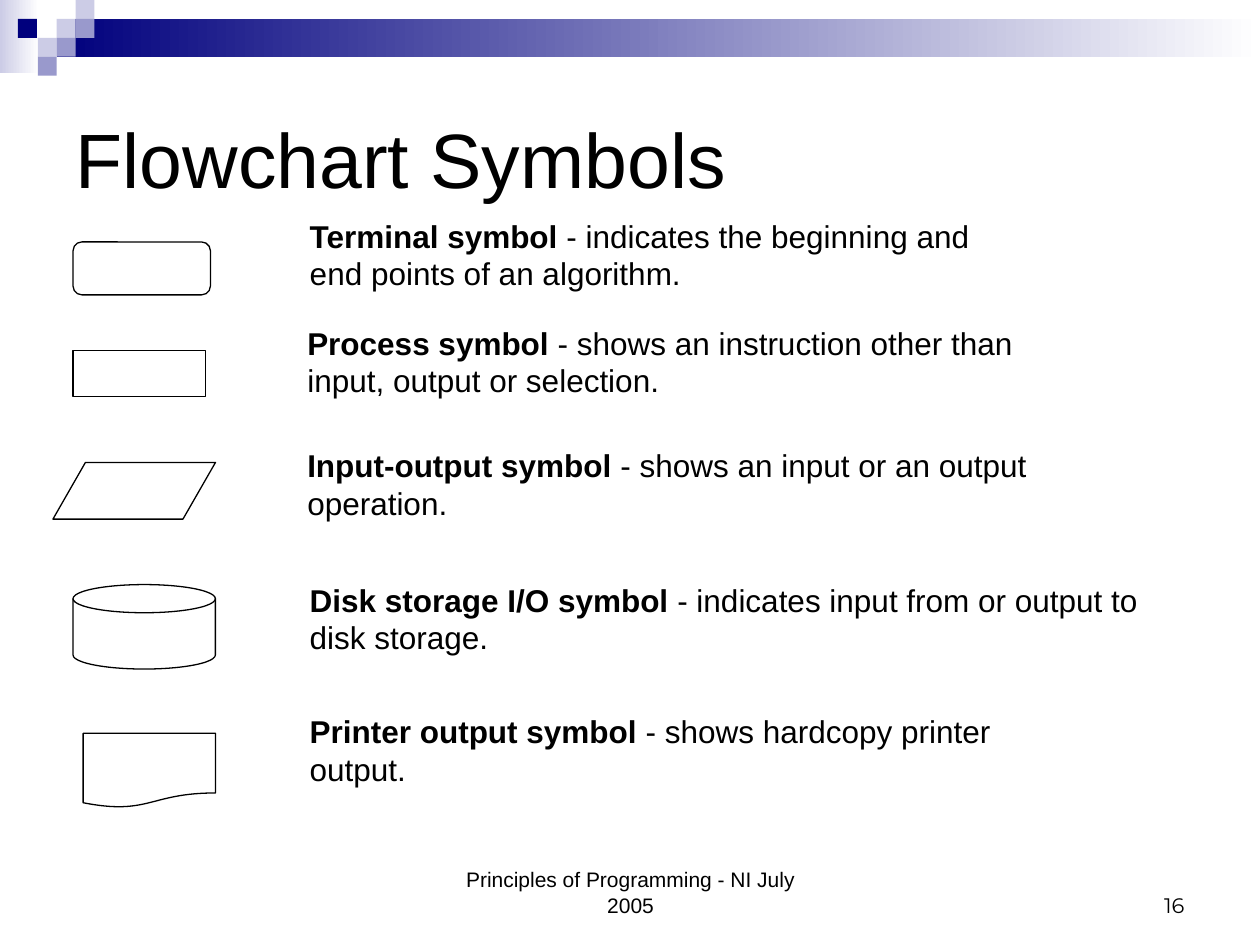
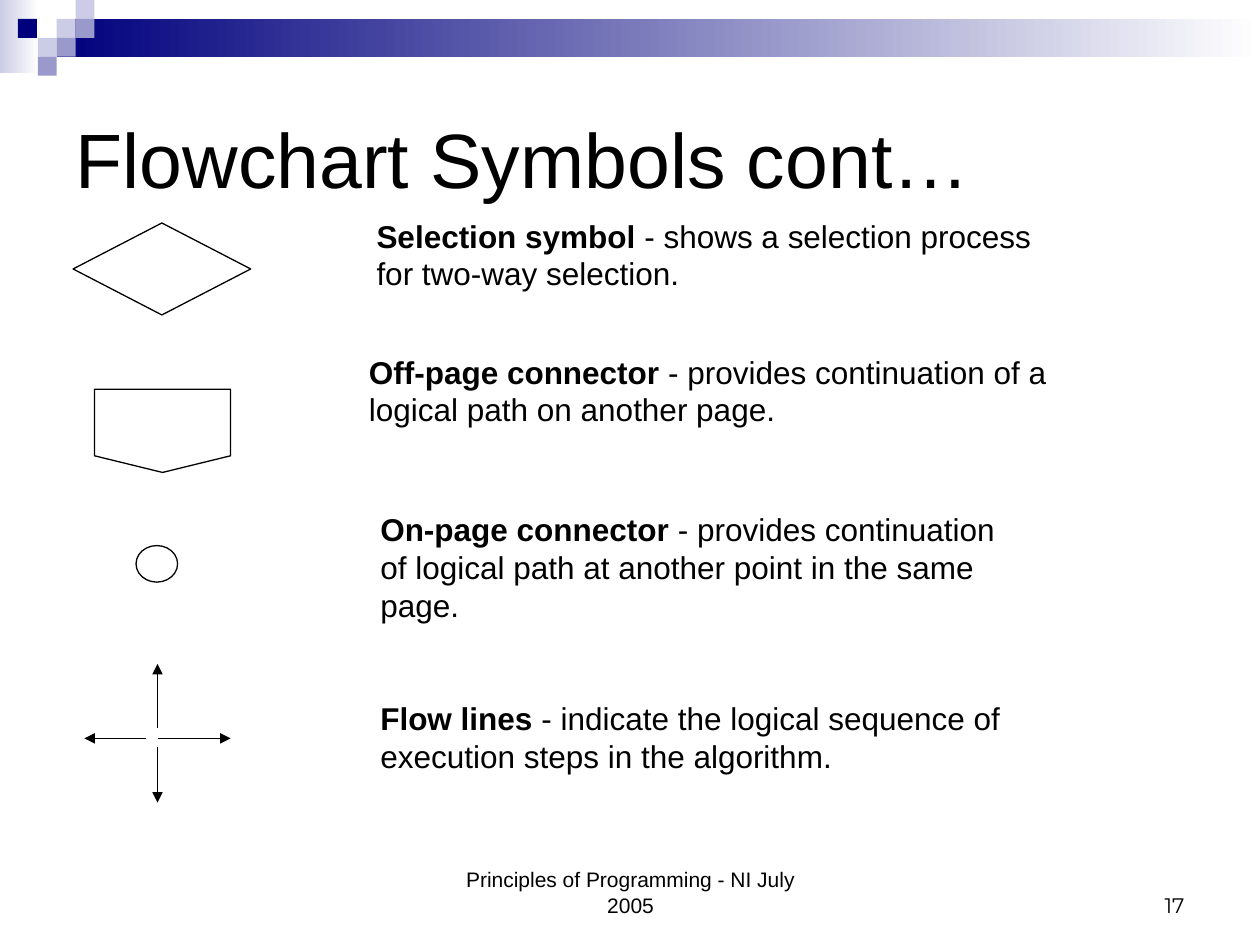
from dataclasses import dataclass

from lxml.etree import SubElement
from pptx import Presentation
from pptx.dml.color import RGBColor as RGB
from pptx.enum.shapes import MSO_CONNECTOR as Link, MSO_SHAPE as Form
from pptx.enum.text import MSO_ANCHOR as Anchor, MSO_AUTO_SIZE as Fit, PP_ALIGN as Align
from pptx.oxml.ns import qn
from pptx.util import Inches, Pt


@dataclass(frozen=True)
class Theme:
    ink: RGB = RGB(0x00, 0x00, 0x00)
    navy: RGB = RGB(0x00, 0x00, 0x7D)
    mid: RGB = RGB(0x99, 0x99, 0xCC)
    pale: RGB = RGB(0xCC, 0xCC, 0xE6)
    white: RGB = RGB(0xFF, 0xFF, 0xFF)
    font: str = "Arial"
    digits: str = "Montserrat"
    title: int = 44
    body: int = 18
    small: int = 12
    line: float = 0.75


T = Theme()

# The slide is a grid of 100 columns by 75 rows
COLS, ROWS = 100, 75
WIDTH, HEIGHT = Inches(10), Inches(7.5)
SIDE = 1.5  # side of a square in the corner pattern
FOOT = "Principles of Programming - NI July 2005"

# Corner pattern: column and row of each square, in sides
SQUARES = [
    (3, 1, T.pale), (4, 0, T.pale), (4, 1, T.mid), (2, 2, T.pale),
    (0.95, 1, T.navy), (3, 2, T.mid), (2, 3, T.mid),
]

# Each symbol: preset and its place
BASIC = [
    (Form.FLOWCHART_ALTERNATE_PROCESS, (5.8, 19.2, 10.9, 4.2)),
    (Form.FLOWCHART_PROCESS, (5.8, 27.8, 10.5, 3.7)),
    (Form.FLOWCHART_DATA, (4.2, 36.7, 12.9, 4.5)),
    (Form.FLOWCHART_MAGNETIC_DISK, (5.8, 46.4, 11.3, 6.7)),
    (Form.FLOWCHART_DOCUMENT, (6.6, 58.2, 10.5, 5.9)),
]
MORE = [
    (Form.FLOWCHART_DECISION, (5.8, 17.7, 14.1, 7.3)),
    (Form.FLOWCHART_OFFPAGE_CONNECTOR, (7.5, 30.9, 10.8, 6.6)),
    (Form.FLOWCHART_CONNECTOR, (10.8, 43.3, 3.3, 2.9)),
]

# Flow lines: start and end, arrowhead at the end
FLOWS = [
    ((12.5, 57.8), (12.5, 52.7)),
    ((12.5, 58.6), (18.3, 58.6)),
    ((12.5, 59.3), (12.5, 63.7)),
    ((11.6, 58.6), (6.7, 58.6)),
]

# Each note: place, bold term, lines of its meaning
BASIC_NOTES = [
    ((23.6, 16.7, 66.5, 9), "Terminal symbol",
     [" - indicates the beginning and ", "end points of an algorithm."]),
    ((23.4, 25.2, 68.2, 9), "Process symbol",
     [" - shows an instruction other than", "input, output or selection."]),
    ((23.4, 34.9, 72.1, 9), "Input-output symbol",
     [" - shows an input or an output ", "operation."]),
    ((23.6, 45.6, 68.3, 9), "Disk storage I/O symbol",
     [" - indicates input from or output to disk storage."]),
    ((23.6, 56, 67.7, 9), "Printer output symbol",
     [" - shows hardcopy printer", "output."]),
]
MORE_NOTES = [
    ((28.9, 16.7, 62.7, 9), "Selection symbol",
     [" - shows a selection process", "for two-way selection."]),
    ((28.3, 27.5, 62.5, 9), "Off-page connector ",
     ["- provides continuation of a logical path on another page."]),
    ((29.2, 40, 60.9, 13), "On-page connector ",
     ["- provides continuation",
      "of logical path at another point in the same", "page."]),
    ((29.2, 55, 61.1, 9), "Flow lines",
     [" - indicate the logical sequence of",
      "execution steps in the algorithm."]),
]


def col(n):
    return round(WIDTH * n / COLS)


def row(n):
    return round(HEIGHT * n / ROWS)


def area(box):
    x, y, w, h = box
    return col(x), row(y), col(w), row(h)


def write(para, text, size, bold=False, font=T.font):
    """Add one run to a paragraph."""
    run = para.add_run()
    run.text = text
    run.font.name = font
    run.font.size = Pt(size)
    run.font.bold = bold
    run.font.color.rgb = T.ink


def block(slide, form, box):
    """Add a preset shape without shadow or line."""
    shape = slide.shapes.add_shape(form, *area(box))
    shape.shadow.inherit = False
    shape.line.fill.background()
    return shape


def fade(slide, box, start):
    """Add a bar that fades to white from left to right."""
    bar = block(slide, Form.RECTANGLE, box)
    bar.fill.gradient()
    bar.fill.gradient_angle = 0
    for stop, tone in zip(bar.fill.gradient_stops, (start, T.white)):
        stop.color.rgb = tone
    return bar


def square(slide, across, down, tone):
    tile = block(slide, Form.RECTANGLE, (across * SIDE, down * SIDE, SIDE, SIDE))
    tile.fill.solid()
    tile.fill.fore_color.rgb = tone
    return tile


def brand(slide, layout):
    """Draw the top band and move it to the layout, for all slides."""
    parts = [fade(slide, (0, 0, 3.1, 5.8), T.pale),
             fade(slide, (3 * SIDE, SIDE, COLS - 3 * SIDE, 2 * SIDE), T.navy)]
    parts += [square(slide, *spec) for spec in SQUARES]
    for part in parts:
        layout.shapes.element.append(part.element)


def head(slide, text):
    title = slide.shapes.title
    title.left, title.top, title.width, title.height = area((5, 5, 90, 15))
    frame = title.text_frame
    frame.vertical_anchor = Anchor.MIDDLE
    para = frame.paragraphs[0]
    para.alignment = Align.LEFT
    write(para, text, T.title)


def frame_at(slide, box):
    frame = slide.shapes.add_textbox(*area(box)).text_frame
    frame.word_wrap = True
    return frame


def foot(slide, box, text, align, font):
    frame = frame_at(slide, box)
    frame.vertical_anchor = Anchor.BOTTOM
    para = frame.paragraphs[0]
    para.alignment = align
    write(para, text, T.small, font=font)


def symbol(slide, form, box):
    shape = block(slide, form, box)
    shape.fill.background()
    shape.line.color.rgb = T.ink
    shape.line.width = Pt(T.line)


def arrow(slide, start, end):
    link = slide.shapes.add_connector(
        Link.STRAIGHT, col(start[0]), row(start[1]), col(end[0]), row(end[1]))
    link.line.color.rgb = T.ink
    link.line.width = Pt(T.line)
    SubElement(link.line._get_or_add_ln(), qn("a:tailEnd"), type="triangle")
    SubElement(link.element.spPr, qn("a:effectLst"))


def note(slide, box, term, lines):
    """Add a bold term followed by its meaning."""
    frame = frame_at(slide, box)
    frame.auto_size = Fit.SHAPE_TO_FIT_TEXT
    para = frame.paragraphs[0]
    write(para, term, T.body, bold=True)
    write(para, lines[0], T.body)
    for line in lines[1:]:
        write(frame.add_paragraph(), line, T.body)


def page(deck, layout, number, title, symbols, notes, flows=()):
    slide = deck.slides.add_slide(layout)
    foot(slide, (34.2, 68.3, 31.7, 5), FOOT, Align.CENTER, T.font)
    foot(slide, (71.7, 68.3, 23.3, 5), str(number), Align.RIGHT, T.digits)
    head(slide, title)
    for item in symbols:
        symbol(slide, *item)
    for flow in flows:
        arrow(slide, *flow)
    for item in notes:
        note(slide, *item)
    return slide


def main():
    deck = Presentation()
    deck.slide_width, deck.slide_height = WIDTH, HEIGHT
    layout = deck.slide_layouts[5]  # title only
    first = page(deck, layout, 16, "Flowchart Symbols", BASIC, BASIC_NOTES)
    brand(first, layout)
    page(deck, layout, 17, "Flowchart Symbols cont…", MORE, MORE_NOTES, FLOWS)
    deck.save("out.pptx")


main()
